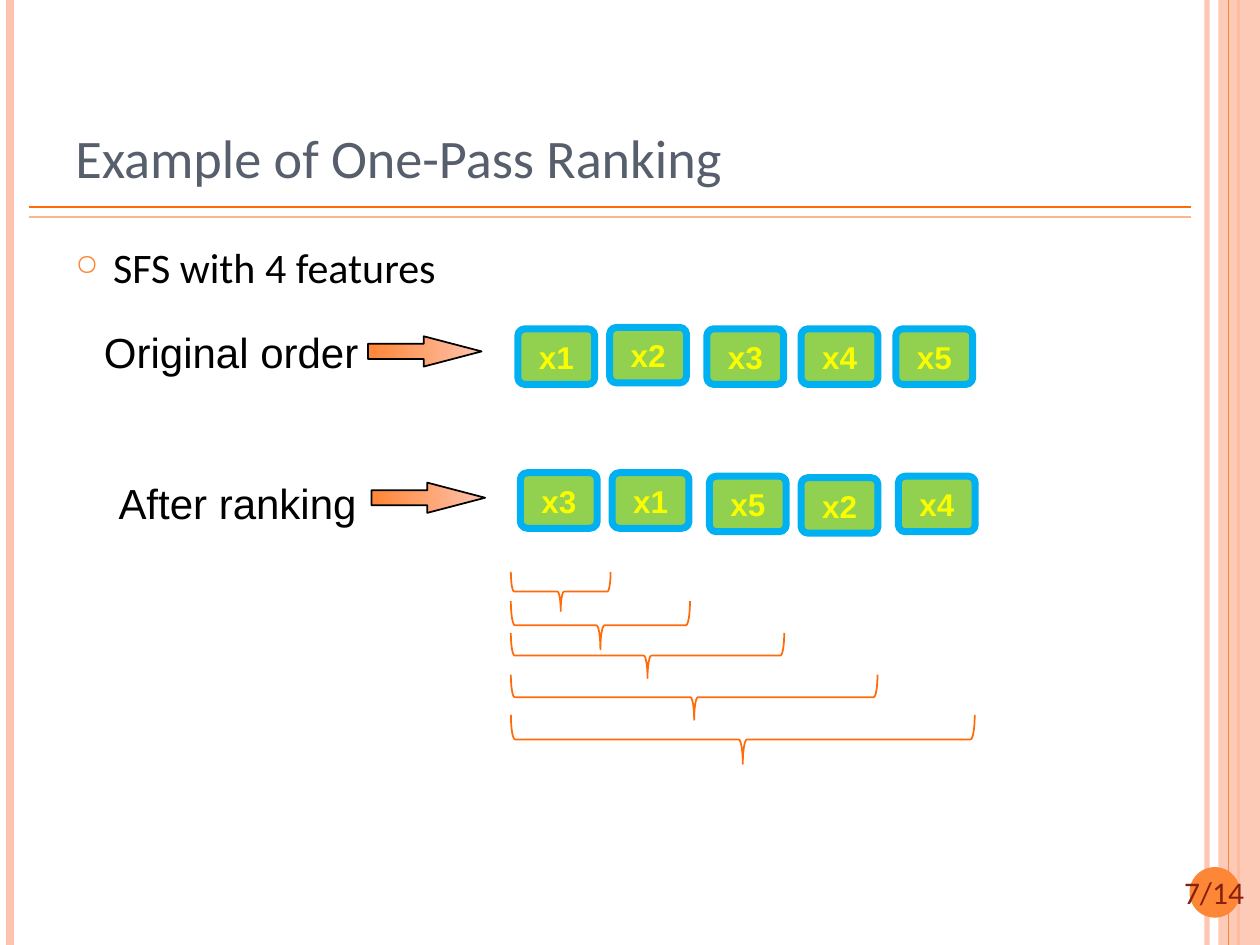
from lxml.etree import SubElement
from pptx import Presentation
from pptx.dml.color import RGBColor
from pptx.enum.shapes import MSO_CONNECTOR, MSO_SHAPE as Shape
from pptx.enum.text import MSO_ANCHOR as Anchor, MSO_AUTO_SIZE as AutoSize, PP_ALIGN as Align
from pptx.oxml.ns import qn
from pptx.util import Cm, Pt

COLORS = {
    "white": "FFFFFF", "black": "000000", "pink": "FEC3AE", "orange": "FE8637",
    "rule": "FF6B0A", "pale rule": "FEB687", "number": "862110", "title": "575F6D",
    "green": "92D050", "blue": "00B0F0", "yellow": "FAFD00",
}
WIDTH, HEIGHT = 25.4, 19.05

# Features as (name, left, top)
ORIGINAL = [("x1", 10.44, 6.63), ("x2", 12.29, 6.6), ("x3", 14.25, 6.63),
            ("x4", 16.15, 6.63), ("x5", 18.06, 6.63)]
RANKED = [("x3", 10.49, 9.53), ("x1", 12.34, 9.53), ("x5", 14.3, 9.6),
          ("x2", 16.15, 9.63), ("x4", 18.11, 9.6)]
# Subsets as (top, span, depth)
SUBSETS = [(11.53, 2.01, 0.79), (12.12, 3.61, 0.97), (12.76, 5.51, 0.91),
           (13.6, 7.39, 0.91), (14.41, 9.35, 0.99)]
SUBSET_LEFT = 10.3


def color(name):
    return RGBColor.from_string(COLORS[name])


def set_all(target, values):
    for name, value in values.items():
        setattr(target, name, value)


def set_alpha(fill_element, percent):
    SubElement(fill_element.find(".//" + qn("a:srgbClr")), qn("a:alpha"), val=str(percent * 1000))


def add_line(page, start, end, line_color, width, alpha=None):
    line = page.shapes.add_connector(MSO_CONNECTOR.STRAIGHT, *map(Cm, start + end))
    line.line.color.rgb = color(line_color)
    line.line.width = Pt(width)
    properties = line._element.spPr
    if alpha:
        set_alpha(properties, alpha)
    SubElement(properties, qn("a:effectLst"))


def add_shape(page, kind, place, fill=None, line=None, width=1):
    shape = page.shapes.add_shape(kind, *map(Cm, place))
    shape.shadow.inherit = False
    if fill:
        shape.fill.solid()
        shape.fill.fore_color.rgb = color(fill)
    else:
        shape.fill.background()
    if line:
        shape.line.color.rgb = color(line)
        shape.line.width = Pt(width)
    else:
        shape.line.fill.background()
    return shape


def write(shape, text, font, size, ink, frame_format=None, para_format=None, bold=False):
    """Put one formatted paragraph into a shape and return it."""
    frame = shape.text_frame
    set_all(frame, {"word_wrap": True, **(frame_format or {})})
    para = frame.paragraphs[0]
    set_all(para, para_format or {})
    span = para.add_run()
    span.text = text
    set_all(span.font, {"name": font, "size": Pt(size), "bold": bold})
    span.font.color.rgb = color(ink)
    return para


def add_text(page, place, *content, **formats):
    box = page.shapes.add_textbox(*map(Cm, place))
    return write(box, *content, **formats)


def add_bullet(para, indent):
    properties = para._p.get_or_add_pPr()
    set_all_xml = {"marL": Cm(indent), "indent": -Cm(indent)}
    for name, value in set_all_xml.items():
        properties.set(name, str(int(value)))
    bullet_color = SubElement(properties, qn("a:buClr"))
    SubElement(bullet_color, qn("a:srgbClr"), val=COLORS["orange"])
    SubElement(properties, qn("a:buSzPct"), val="70000")
    SubElement(properties, qn("a:buChar"), char="○")


def add_frame(page):
    """Draw the side bands, the title rules and the page number."""
    for x, line_color, width, alpha in [(24.33, "pink", 3, 93), (0.2, "pink", 4.5, None),
                                        (24.97, "orange", 1.5, None)]:
        add_line(page, (x, 0), (x, HEIGHT), line_color, width, alpha)
    band = add_shape(page, Shape.RECTANGLE, (24.56, 0, 0.84, HEIGHT), "pink")
    set_alpha(band._element.spPr, 87)
    add_line(page, (24.77, 0), (24.77, HEIGHT), "orange", 0.75)
    for y, line_color in [(4.17, "rule"), (4.37, "pale rule")]:
        add_line(page, (0.58, y), (24, y), line_color, 1)
    add_shape(page, Shape.OVAL, (23.98, 17.48, 1.02, 1.02), "orange")
    add_text(page, (23.32, 17.48, 2.31, 1.02), "7/14", "Calibri", 18, "number",
             para_format={"alignment": Align.CENTER})


def add_label(page, place, text):
    add_text(page, place, text, "Arial", 24, "black",
             frame_format={"word_wrap": False, "auto_size": AutoSize.SHAPE_TO_FIT_TEXT},
             para_format={"alignment": Align.CENTER, "line_spacing": 0.65,
                          "space_before": Pt(7.2)})


def add_arrow(page, left, top):
    arrow = add_shape(page, Shape.RIGHT_ARROW, (left, top, 2.29, 0.61), line="black")
    arrow.adjustments[1] = 1.91
    arrow.fill.gradient()
    arrow.fill.gradient_angle = 0
    for stop, name, position in zip(arrow.fill.gradient_stops, ("orange", "pink"), (0, 1)):
        stop.color.rgb = color(name)
        stop.position = position


def add_feature(page, name, left, top):
    tile = add_shape(page, Shape.ROUNDED_RECTANGLE, (left, top, 1.55, 1.12), "green", "blue", 4)
    tile.adjustments[0] = 0.125
    write(tile, name, "Arial", 18, "yellow", bold=True,
          frame_format={"word_wrap": False, "vertical_anchor": Anchor.MIDDLE},
          para_format={"alignment": Align.CENTER})


def add_subset_brace(page, top, span, depth):
    """Draw a brace that opens upwards over the first features."""
    left = SUBSET_LEFT + (span - depth) / 2
    place = (left, top + (depth - span) / 2, depth, span)
    add_shape(page, Shape.LEFT_BRACE, place, line="rule").rotation = 270


def main():
    deck = Presentation()
    deck.slide_width, deck.slide_height = Cm(WIDTH), Cm(HEIGHT)
    page = deck.slides.add_slide(deck.slide_layouts[6])
    page.background.fill.solid()
    page.background.fill.fore_color.rgb = color("white")

    add_frame(page)
    add_text(page, (1.27, 0.76, 21.95, 3.18), "Example of One-Pass Ranking", "Calibri", 31,
             "title", frame_format={"vertical_anchor": Anchor.BOTTOM})
    topic = add_text(page, (1.27, 4.75, 20.75, 13.23), "SFS with 4 features", "Calibri", 24,
                     "black", para_format={"space_before": Pt(6)})
    add_bullet(topic, 0.76)

    add_label(page, (1.8, 6.78, 5.72, 0.97), "Original order")
    add_arrow(page, 7.42, 6.78)
    add_label(page, (2.11, 9.83, 5.36, 0.97), "After ranking")
    add_arrow(page, 7.49, 9.73)
    for feature in ORIGINAL + RANKED:
        add_feature(page, *feature)
    for subset in SUBSETS:
        add_subset_brace(page, *subset)
    deck.save("out.pptx")


if __name__ == "__main__":
    main()
